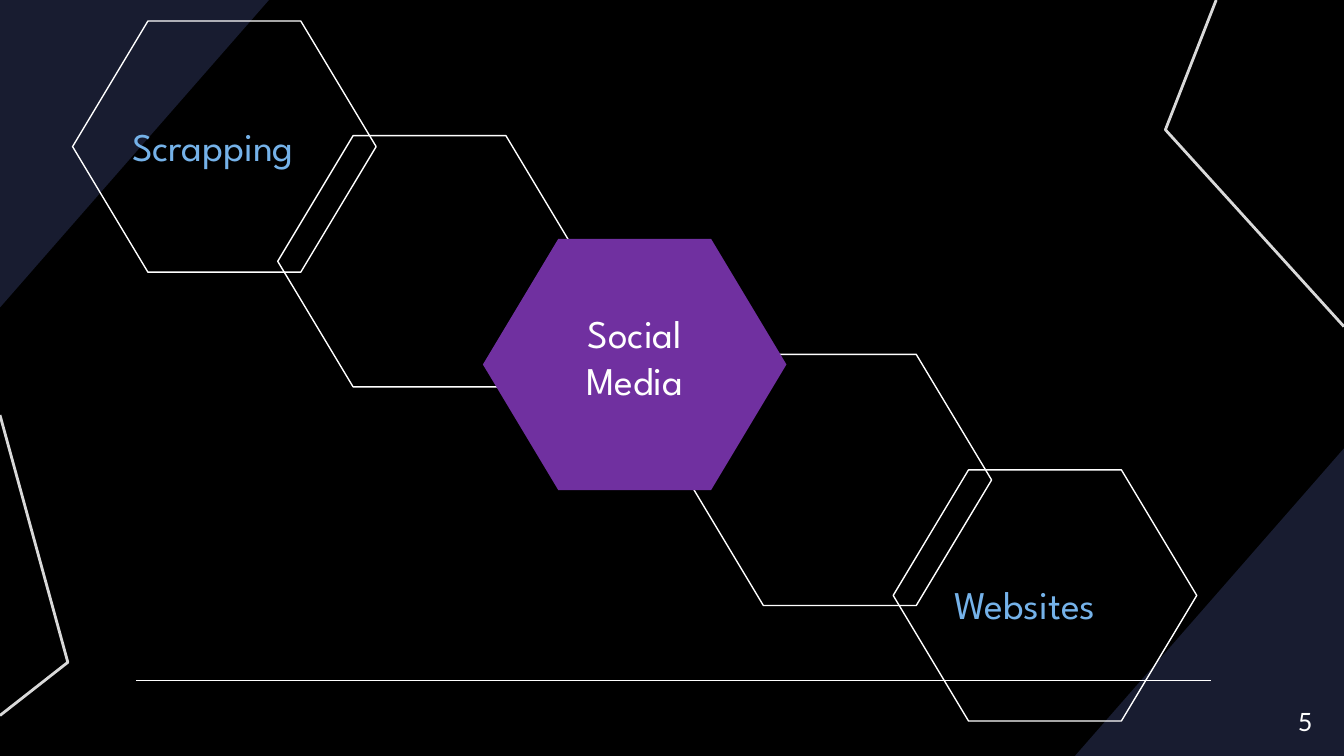
from dataclasses import dataclass

from lxml.etree import SubElement
from pptx import Presentation
from pptx.dml.color import RGBColor
from pptx.enum.shapes import MSO_CONNECTOR, MSO_SHAPE
from pptx.enum.text import PP_ALIGN
from pptx.oxml.ns import qn
from pptx.util import Cm, Pt


@dataclass(frozen=True)
class Theme:
    background: RGBColor = RGBColor(0x00, 0x00, 0x00)
    corner: RGBColor = RGBColor(0x18, 0x1C, 0x30)
    white: RGBColor = RGBColor(0xFF, 0xFF, 0xFF)
    accent: RGBColor = RGBColor(0x70, 0x30, 0xA0)
    label: RGBColor = RGBColor(0x75, 0xB2, 0xE9)
    edge: RGBColor = RGBColor(0xD9, 0xD9, 0xD9)
    label_font: str = "League Spartan"
    number_font: str = "Lato"
    label_size: Pt = Pt(28)
    number_size: Pt = Pt(18)
    thin: Pt = Pt(1)
    thick: Pt = Pt(2)


theme = Theme()
WIDTH, HEIGHT = 33.87, 19.05

deck = Presentation()
deck.slide_width, deck.slide_height = Cm(WIDTH), Cm(HEIGHT)
slide = deck.slides.add_slide(deck.slide_layouts[6])
slide.background.fill.solid()
slide.background.fill.fore_color.rgb = theme.background


def add_outline(points, close):
    corners = [(Cm(x), Cm(y)) for x, y in points]
    builder = slide.shapes.build_freeform(*corners[0])
    builder.add_line_segments(corners[1:], close=close)
    outline = builder.convert_to_shape()
    outline.shadow.inherit = False
    return outline


def add_words(words, box, margins, font_name, size, color, align, wrap=True):
    frame = slide.shapes.add_textbox(*map(Cm, box)).text_frame
    frame.word_wrap = wrap
    (frame.margin_left, frame.margin_top,
     frame.margin_right, frame.margin_bottom) = map(Cm, margins)
    paragraph = frame.paragraphs[0]
    paragraph.alignment = align
    run = paragraph.add_run()
    run.text = words
    run.font.name = font_name
    run.font.size = size
    run.font.color.rgb = color


corner_width, corner_height = 6.78, 7.75
for corner_points in (
    [(WIDTH, HEIGHT - corner_height), (WIDTH, HEIGHT), (WIDTH - corner_width, HEIGHT)],
    [(0, corner_height), (0, 0), (corner_width, 0)],
):
    corner = add_outline(corner_points, True)
    corner.fill.solid()
    corner.fill.fore_color.rgb = theme.corner
    corner.line.fill.background()

baseline = slide.shapes.add_connector(
    MSO_CONNECTOR.STRAIGHT, Cm(3.43), Cm(17.15), Cm(30.53), Cm(17.15))
baseline.line.color.rgb = theme.white
baseline.line.width = theme.thin
SubElement(baseline._element.spPr, qn("a:effectLst"))

hexagon_tops = [0.53, 3.42, 6.02, 8.93, 11.84]
center_index = 2
for index in (0, 1, 3, 4, center_index):
    hexagon = slide.shapes.add_shape(
        MSO_SHAPE.HEXAGON, Cm(1.83 + 5.17 * index), Cm(hexagon_tops[index]),
        Cm(7.65), Cm(6.33))
    hexagon.adjustments[0] = 0.3
    hexagon.shadow.inherit = False
    if index == center_index:
        hexagon.fill.solid()
        hexagon.fill.fore_color.rgb = theme.accent
        hexagon.line.fill.background()
    else:
        hexagon.fill.background()
        hexagon.line.color.rgb = theme.white
        hexagon.line.width = theme.thin

for edge_points in (
    [(30.65, 0), (29.37, 3.27), (WIDTH, 8.23)],
    [(0, 10.46), (1.71, 16.69), (0, 18.03)],
):
    edge = add_outline(edge_points, False)
    edge.fill.background()
    edge.line.color.rgb = theme.edge
    edge.line.width = theme.thick

for words, box, color, align in (
    ("Scrapping", (3, 2.74, 5.21, 1.93), theme.label, PP_ALIGN.LEFT),
    ("Websites", (23.72, 14.3, 5.61, 1.65), theme.label, PP_ALIGN.LEFT),
    ("Social Media", (13.46, 7.47, 5.08, 2.72), theme.white, PP_ALIGN.CENTER),
):
    add_words(words, box, [0.33] * 4, theme.label_font, theme.label_size, color, align)

add_words("5", (32.46, 17.68, 0.53, 1.02), (0.25, 0.13, 0, 0.13),
          theme.number_font, theme.number_size, theme.white, PP_ALIGN.LEFT, wrap=False)

deck.save("out.pptx")
